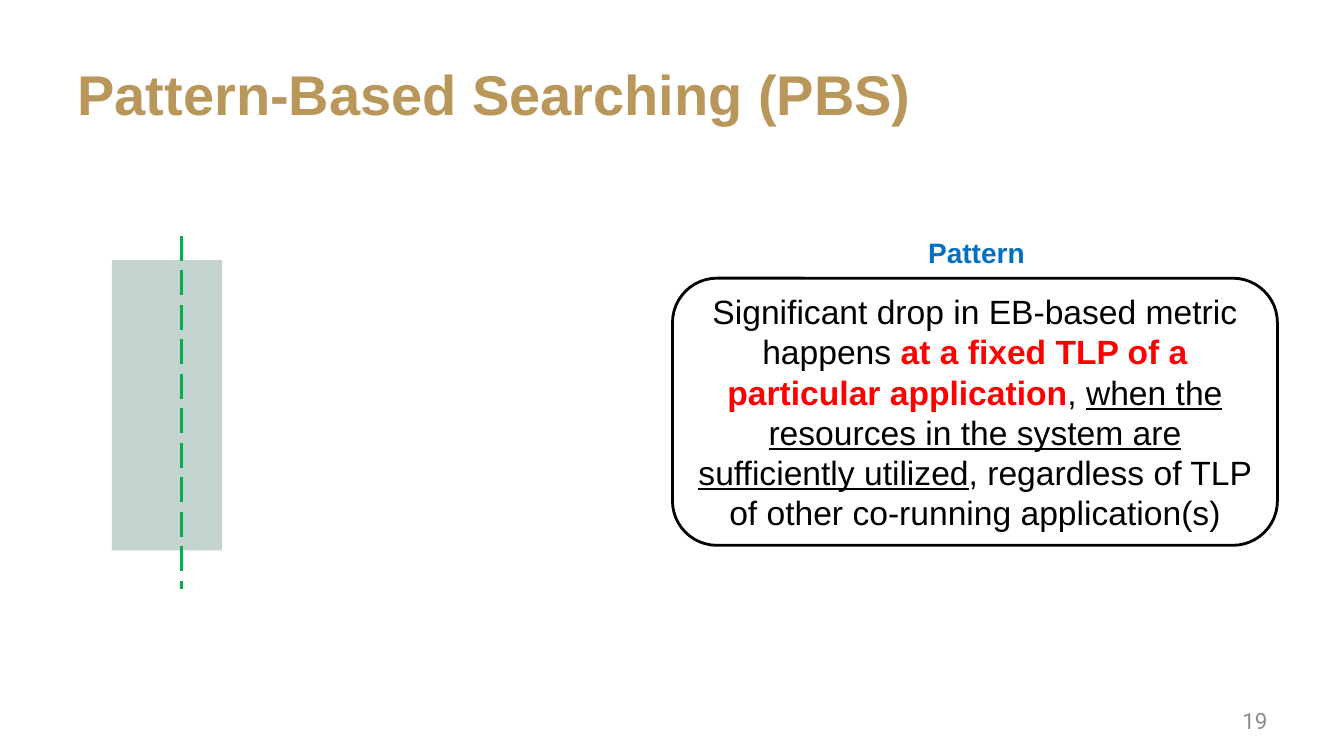
from lxml import etree
from pptx import Presentation
from pptx.dml.color import RGBColor
from pptx.enum import dml, shapes, text
from pptx.oxml import ns
from pptx.util import Inches, Pt

HUES = {
    "gold": "B9975B",
    "gray": "8C8C8C",
    "blue": "0070C0",
    "pine": "115740",
    "green": "00B050",
    "red": "FF0000",
    "black": "000000",
    "white": "FFFFFF",
}
ALIGN = text.PP_ALIGN


def hue(name):
    return RGBColor.from_string(HUES[name])


def place(box):
    return [Inches(side) for side in box]


def write(frame, runs, base, align, wrap=True):
    frame.word_wrap = wrap
    frame.vertical_anchor = text.MSO_ANCHOR.MIDDLE
    para = frame.paragraphs[0]
    para.alignment = align
    for words, extra in runs:
        run = para.add_run()
        run.text = words
        style = {"name": "Arial", **base, **extra}
        run.font.color.rgb = hue(style.pop("hue"))
        for key, value in style.items():
            setattr(run.font, key, value)


def add_label(slide, box, words, style, align, wrap=True):
    label = slide.shapes.add_textbox(*place(box))
    write(label.text_frame, [(words, {})], style, align, wrap)


def add_block(slide, kind, box, fill, edge=None, alpha=None):
    block = slide.shapes.add_shape(kind, *place(box))
    block.shadow.inherit = False
    block.fill.solid()
    block.fill.fore_color.rgb = hue(fill)
    if alpha:
        color = block.fill._xPr.find(".//" + ns.qn("a:srgbClr"))
        etree.SubElement(color, ns.qn("a:alpha"), val=str(alpha * 1000))
    if edge:
        block.line.color.rgb = hue(edge)
        block.line.width = Pt(2)
    else:
        block.line.fill.background()
    return block


def add_dash(slide, ends):
    dash = slide.shapes.add_connector(shapes.MSO_CONNECTOR.STRAIGHT, *place(ends))
    dash.line.color.rgb = hue("green")
    dash.line.width = Pt(2.25)
    dash.line.dash_style = dml.MSO_LINE.LONG_DASH
    etree.SubElement(dash._element.spPr, ns.qn("a:effectLst"))


def main():
    deck = Presentation()
    deck.slide_width, deck.slide_height = Inches(13.33), Inches(7.5)
    slide = deck.slides.add_slide(deck.slide_layouts[6])
    kinds = shapes.MSO_SHAPE

    add_label(slide, (0.67, 0.3, 12, 1.25), "Pattern-Based Searching (PBS)",
              {"size": Pt(40), "hue": "gold", "bold": True}, ALIGN.LEFT)
    add_label(slide, (9.56, 6.95, 3.11, 0.4), "19",
              {"size": Pt(16), "hue": "gray", "name": "Roboto"}, ALIGN.RIGHT)
    add_label(slide, (9.1, 2.28, 1.17, 0.44), "Pattern",
              {"size": Pt(20), "hue": "blue", "bold": True}, ALIGN.CENTER, False)

    add_block(slide, kinds.RECTANGLE, (1.11, 2.58, 1.09, 2.88), "pine", alpha=25)
    add_dash(slide, (1.8, 2.34, 1.8, 5.84))

    rule = add_block(slide, kinds.ROUNDED_RECTANGLE, (6.67, 2.76, 6, 2.65),
                     "white", edge="black")
    runs = [
        ("Significant drop in EB-based metric happens ", {}),
        ("at a fixed TLP of a particular application", {"hue": "red", "bold": True}),
        (", ", {}),
        ("when the resources in the system are sufficiently utilized",
         {"underline": True}),
        (", regardless of TLP of other co-running application(s)", {}),
    ]
    write(rule.text_frame, runs, {"size": Pt(24), "hue": "black"}, ALIGN.CENTER)

    deck.save("out.pptx")


if __name__ == "__main__":
    main()
